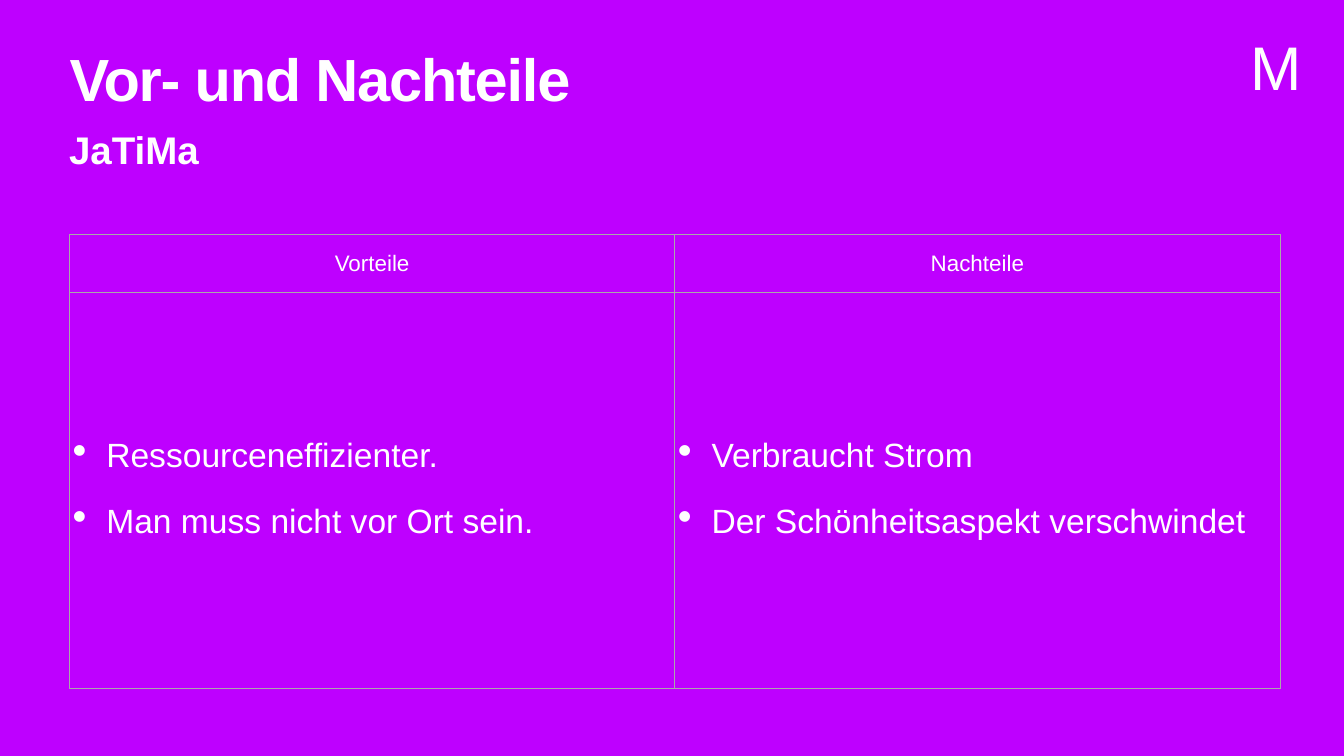
from dataclasses import dataclass
from lxml import etree
from pptx import Presentation, util as u
from pptx.dml.color import RGBColor
from pptx.enum import text
from pptx.oxml import ns

COLORS = {"back": "BE00FF", "text": "FFFFFF", "grid": "A9A9A9"}
WIDTH, HEIGHT = 26.67, 15
MARGIN = 1.32
FONT = "Arial"
CENTER = text.PP_ALIGN.CENTER
LEFT = text.PP_ALIGN.LEFT
TOP, MIDDLE = text.MSO_ANCHOR.TOP, text.MSO_ANCHOR.MIDDLE


@dataclass
class Column:
    heading: str
    points: list[str]


COLUMNS = [
    Column("Vorteile", ["Ressourceneffizienter.", "Man muss nicht vor Ort sein."]),
    Column("Nachteile", ["Verbraucht Strom", "Der Schönheitsaspekt verschwindet"]),
]


def color(name: str) -> RGBColor:
    return RGBColor.from_string(COLORS[name])


def add_sub(parent, tag: str, **attrs):
    return etree.SubElement(parent, ns.qn(tag), **attrs)


def set_attrs(target, values: dict) -> None:
    for name, value in values.items():
        setattr(target, name, value)


def set_margins(target, inset: float) -> None:
    for side in ("left", "top", "right", "bottom"):
        setattr(target, f"margin_{side}", u.Inches(inset))


def write(p, words: str, size: float, align=LEFT, bold: bool = False):
    p.alignment = align
    r = p.add_run()
    r.text = words
    set_attrs(r.font, {"name": FONT, "size": u.Pt(size), "bold": bold})
    r.font.color.rgb = color("text")
    return r


def place(sp, left: float, top: float, width: float, height: float) -> None:
    box = {"left": left, "top": top, "width": width, "height": height}
    set_attrs(sp, {name: u.Inches(value) for name, value in box.items()})


def format_frame(tf, anchor, inset: float = 0.06, wrap: bool = True) -> None:
    set_attrs(tf, {"word_wrap": wrap, "vertical_anchor": anchor,
                   "auto_size": text.MSO_AUTO_SIZE.NONE})
    set_margins(tf, inset)


def add_bullet(p, words: str, first: bool) -> None:
    pPr = p._p.get_or_add_pPr()
    indent = u.Inches(0.67)
    pPr.set("marL", str(indent))
    pPr.set("indent", str(-indent))
    add_sub(pPr, "a:buSzPct", val="123000")
    add_sub(pPr, "a:buChar", char="•")
    set_attrs(p, {"line_spacing": 0.9, "space_before": u.Pt(0 if first else 45)})
    write(p, words, 48)


def format_cell(cell) -> None:
    cell.vertical_anchor = MIDDLE
    set_margins(cell, 0.06)
    tcPr = cell._tc.get_or_add_tcPr()
    for side in "LRTB":
        ln = add_sub(tcPr, f"a:ln{side}", w=str(u.Pt(1)))
        add_sub(add_sub(ln, "a:solidFill"), "a:srgbClr", val=COLORS["grid"])
    cell.fill.background()


def add_comparison(s, columns: list[Column]) -> None:
    rows = [1.15, 7.86]
    col_width = 12.01
    table = s.shapes.add_table(
        len(rows), len(columns), u.Inches(1.38), u.Inches(4.65),
        u.Inches(col_width * len(columns)), u.Inches(sum(rows))).table
    set_attrs(table, {"first_row": False, "horz_banding": False})
    for row, height in zip(table.rows, rows):
        row.height = u.Inches(height)
    for i, column in enumerate(columns):
        table.columns[i].width = u.Inches(col_width)
        head, body = table.cell(0, i), table.cell(1, i)
        for cell in (head, body):
            format_cell(cell)
        write(head.text_frame.paragraphs[0], column.heading, 32, CENTER)
        tf = body.text_frame
        for n, point in enumerate(column.points):
            add_bullet(tf.add_paragraph() if n else tf.paragraphs[0], point, n == 0)


def main() -> None:
    prs = Presentation()
    set_attrs(prs, {"slide_width": u.Inches(WIDTH), "slide_height": u.Inches(HEIGHT)})
    s = prs.slides.add_slide(prs.slide_layouts[5])
    s.background.fill.solid()
    s.background.fill.fore_color.rgb = color("back")
    text_width = WIDTH - 2 * MARGIN

    # Title
    sp = s.shapes.title
    place(sp, MARGIN, 1.04, text_width, 1.57)
    format_frame(sp.text_frame, TOP)
    p = sp.text_frame.paragraphs[0]
    p.line_spacing = 0.8
    r = write(p, "Vor- und Nachteile", 85, bold=True)
    r.font._element.set("spc", "-170")

    # Subtitle
    sp = s.shapes.add_textbox(0, 0, 0, 0)
    place(sp, MARGIN, 2.46, text_width, 1.02)
    format_frame(sp.text_frame, TOP, 0.05)
    write(sp.text_frame.paragraphs[0], "JaTiMa", 55, bold=True)

    # Pros and cons
    add_comparison(s, COLUMNS)

    # Corner letter
    sp = s.shapes.add_textbox(0, 0, 0, 0)
    place(sp, 24.73, 0.54, 1.17, 1.54)
    format_frame(sp.text_frame, MIDDLE, wrap=False)
    write(sp.text_frame.paragraphs[0], "M", 88, CENTER)

    prs.save("out.pptx")


if __name__ == "__main__":
    main()
